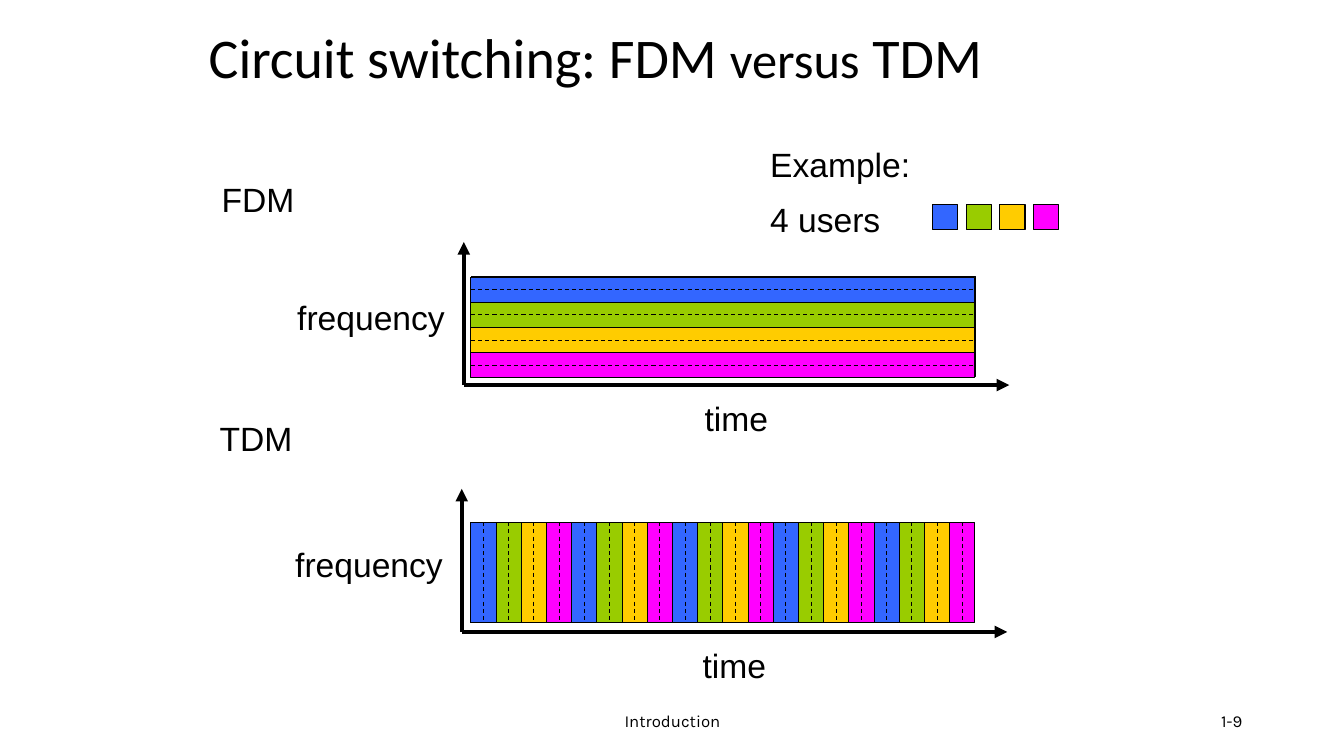
from lxml import etree
from pptx import Presentation
from pptx.dml.color import RGBColor
from pptx.enum.dml import MSO_LINE_DASH_STYLE as Dash
from pptx.enum.shapes import MSO_CONNECTOR as Connector, MSO_SHAPE as Shape
from pptx.enum.text import MSO_ANCHOR as Anchor, MSO_AUTO_SIZE as AutoSize, PP_ALIGN as Align
from pptx.oxml.ns import qn
from pptx.util import Inches, Pt

color = RGBColor.from_string
BLACK = "000000"
USERS = ["3366FF", "99CC00", "FFCC00", "FF00FF"]
LEFT, WIDTH, HEIGHT = 4.67, 5, 1  # plot area of both diagrams
STEP = 0.25  # one frequency band or time slot
SLOTS = int(WIDTH / STEP)
FDM_TOP, TDM_TOP = 2.75, 5.18


def add_text(text, left, top, width, height=0.5, size=24, font="Arial", align=None):
    """Add a label; one without an alignment grows with its text."""
    box = slide.shapes.add_textbox(Inches(left), Inches(top), Inches(width), Inches(height))
    frame = box.text_frame
    frame.word_wrap = align is not None
    frame.auto_size = AutoSize.NONE if align else AutoSize.SHAPE_TO_FIT_TEXT
    frame.vertical_anchor = Anchor.MIDDLE if align else Anchor.TOP
    paragraph = frame.paragraphs[0]
    paragraph.text = text
    paragraph.alignment = align
    paragraph.font.size = Pt(size)
    paragraph.font.name = font
    paragraph.font.color.rgb = color(BLACK)


def add_line(x1, y1, x2, y2, weight=0.75, arrow=False):
    line = slide.shapes.add_connector(
        Connector.STRAIGHT, Inches(x1), Inches(y1), Inches(x2), Inches(y2))
    line.line.color.rgb = color(BLACK)
    line.line.width = Pt(weight)
    if arrow:
        etree.SubElement(line.line._get_or_add_ln(), qn("a:tailEnd"), type="triangle")
    etree.SubElement(line._element.spPr, qn("a:effectLst"))
    return line


presentation = Presentation()
presentation.slide_width = Inches(13.33)
presentation.slide_height = Inches(7.5)
slide = presentation.slides.add_slide(presentation.slide_layouts[5])

# Title
title = slide.shapes.title
title.left, title.top = Inches(1.97), Inches(0.08)
title.width, title.height = Inches(9.26), Inches(1.04)
title.text_frame.auto_size = AutoSize.NONE
title.text_frame.vertical_anchor = Anchor.MIDDLE
paragraph = title.text_frame.paragraphs[0]
paragraph.alignment = Align.LEFT
paragraph.line_spacing = 0.9
paragraph.font.name = "Calibri"
paragraph.font.color.rgb = color(BLACK)
for text, size in [("Circuit switching: FDM ", 40), ("versus", 36), (" TDM", 40)]:
    run = paragraph.add_run()
    run.text = text
    run.font.size = Pt(size)

# Axes and labels, placed from the origin of each diagram
for name, x, y, name_top in [("FDM", 4.6, 3.82, 1.73), ("TDM", 4.58, 6.27, 4.1)]:
    add_text(name, x - 2.5, name_top, 0.92)
    add_text("frequency", x - 1.75, y - 0.92, 1.67)
    add_text("time", x + 2.29, y + 0.08, 0.83)
    add_line(x, y, x, y - 1.42, 3, arrow=True)
    add_line(x, y, x + 5.41, y, 3, arrow=True)

# Rectangles: left, top, width, height, fill, sites joined by a dashed centre line
frames = [(LEFT + 0.01, FDM_TOP - 0.01, WIDTH, HEIGHT, "5B9BD5", None),
          (LEFT, TDM_TOP, WIDTH, HEIGHT, "5B9BD5", None)]
bands = [(LEFT, FDM_TOP + i * STEP, WIDTH, STEP, user, (1, 3))
         for i, user in enumerate(USERS)]
slots = [(LEFT + i * STEP, TDM_TOP, STEP, HEIGHT, USERS[i % len(USERS)], (0, 2))
         for i in range(SLOTS)]
swatches = [(9.25 + i / 3, 2.03, STEP, STEP, user, None) for i, user in enumerate(USERS)]

for left, top, width, height, fill, sites in frames + bands + slots + swatches:
    shape = slide.shapes.add_shape(
        Shape.RECTANGLE, Inches(left), Inches(top), Inches(width), Inches(height))
    shape.shadow.inherit = False
    shape.fill.solid()
    shape.fill.fore_color.rgb = color(fill)
    shape.line.color.rgb = color(BLACK)
    shape.line.width = Pt(0.75)
    if sites:
        center_line = add_line(left, top, left + width, top + height)
        center_line.line.dash_style = Dash.DASH
        center_line.begin_connect(shape, sites[0])
        center_line.end_connect(shape, sites[1])

# Solid dividers
for i in range(1, len(USERS)):
    add_line(LEFT, FDM_TOP + i * STEP, LEFT + WIDTH, FDM_TOP + i * STEP)
for i in range(1, SLOTS):
    add_line(LEFT + i * STEP, TDM_TOP, LEFT + i * STEP, TDM_TOP + HEIGHT)

# Legend and footer
add_text("Example:", 7.54, 1.38, 1.59)
add_text("4 users", 7.54, 1.92, 1.3)
add_text("Introduction", 4.42, 6.95, 4.5, 0.4, 12, "Karla", Align.CENTER)
add_text("1-9", 9.42, 6.95, 3, 0.4, 12, "Karla", Align.RIGHT)

presentation.save("out.pptx")
